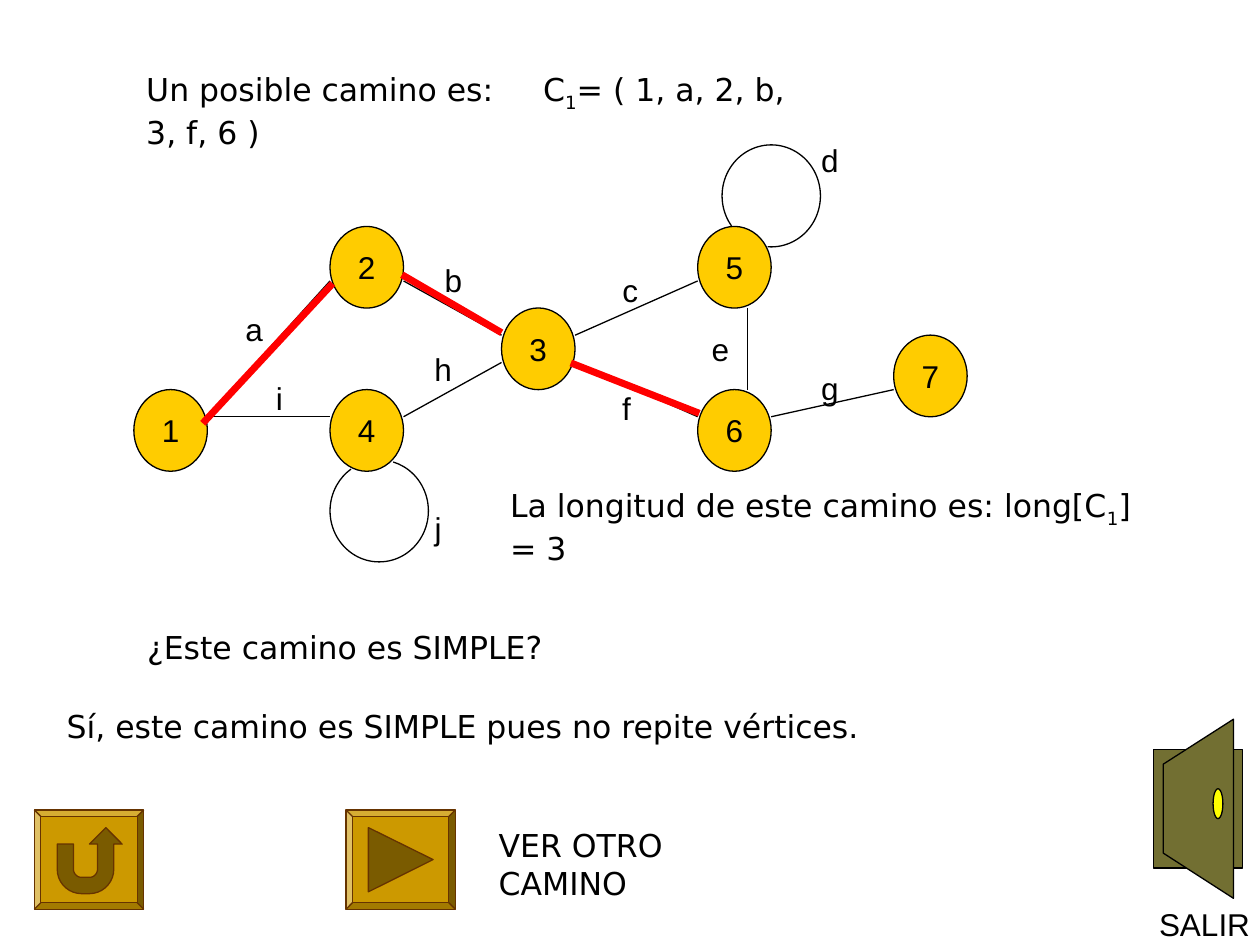
from dataclasses import dataclass
from math import cos, radians, sin

from lxml.etree import SubElement
from pptx import Presentation
from pptx.dml.color import RGBColor
from pptx.enum.shapes import MSO_CONNECTOR, MSO_SHAPE
from pptx.enum.text import MSO_ANCHOR, PP_ALIGN
from pptx.oxml.ns import qn
from pptx.util import Pt


@dataclass(frozen=True)
class Theme:
    ink: RGBColor = RGBColor.from_string("000000")
    node: RGBColor = RGBColor.from_string("FFCC00")
    route: RGBColor = RGBColor.from_string("FF0000")
    door: RGBColor = RGBColor.from_string("726F32")
    knob: RGBColor = RGBColor.from_string("FFFF00")
    button: RGBColor = RGBColor.from_string("CC9900")
    icon: RGBColor = RGBColor.from_string("7A5B00")
    border: RGBColor = RGBColor.from_string("663300")
    label_font: str = "Arial"
    body_font: str = "DejaVu Sans"
    size: int = 18
    thin: float = 0.75
    thick: float = 4


theme = Theme()


def paint(shape, fill, line):
    shape.shadow.inherit = False
    if fill is None:
        shape.fill.background()
    else:
        shape.fill.solid()
        shape.fill.fore_color.rgb = fill
    shape.line.color.rgb = line
    shape.line.width = Pt(theme.thin)


def write(shape, parts, font, align=PP_ALIGN.LEFT, anchor=MSO_ANCHOR.MIDDLE, wrap=True, tab=None):
    frame = shape.text_frame
    frame.word_wrap = wrap
    frame.vertical_anchor = anchor
    para = frame.paragraphs[0]
    para.alignment = align
    if tab:
        stops = SubElement(para._p.get_or_add_pPr(), qn("a:tabLst"))
        SubElement(stops, qn("a:tab"), pos=str(Pt(tab)), algn="l")
    para.font.name = font
    para.font.size = Pt(theme.size)
    para.font.color.rgb = theme.ink
    for index, part in enumerate(parts):
        span = para.add_run()
        span.text = part
        if index % 2:
            span._r.get_or_add_rPr().set("baseline", "-25000")


deck = Presentation()
deck.slide_width, deck.slide_height = Pt(720), Pt(540)
page = deck.slides.add_slide(deck.slide_layouts[6])
shapes = page.shapes

node_width, node_height = 42, 46.7
nodes = {
    "1": (76.5, 222.6),
    "2": (188.6, 129.4),
    "3": (286.6, 176),
    "4": (188.6, 222.6),
    "5": (398.7, 129.4),
    "6": (398.7, 222.6),
    "7": (510.7, 191.5),
}
for name, (left, top) in nodes.items():
    node = shapes.add_shape(MSO_SHAPE.OVAL, Pt(left), Pt(top), Pt(node_width), Pt(node_height))
    paint(node, theme.node, theme.ink)
    write(node, [name], theme.label_font, PP_ALIGN.CENTER)

edges = [
    ("1", "2", 1, 2),
    ("1", "4", 1, 1),
    ("2", "3", 2, 1),
    ("4", "3", 1, 2),
    ("3", "6", 2, 1),
    ("3", "5", 1, 2),
    ("6", "7", 1, 2),
]
third = node_height / 3
lines = [(427, 176, 427, 222.6, theme.ink, theme.thin)]
for start, end, start_thirds, end_thirds in edges:
    (x1, y1), (x2, y2) = nodes[start], nodes[end]
    lines.append((x1 + node_width, y1 + start_thirds * third,
                  x2, y2 + end_thirds * third, theme.ink, theme.thin))
route = [(115.9, 241.9, 190.1, 162), (229.7, 157, 286.6, 190.1), (326.2, 207.4, 399.6, 236.2)]
lines += [(*ends, theme.route, theme.thick) for ends in route]
for x1, y1, x2, y2, color, width in lines:
    edge = shapes.add_connector(MSO_CONNECTOR.STRAIGHT, Pt(x1), Pt(y1), Pt(x2), Pt(y2))
    edge.line.color.rgb = color
    edge.line.width = Pt(width)
    SubElement(edge._element.spPr, qn("a:effectLst"))

for left, top, start, end in [(188.6, 262.8, 286, 236), (412.6, 82.8, 143, 94)]:
    loop = shapes.add_shape(MSO_SHAPE.ARC, Pt(left), Pt(top), Pt(56.2), Pt(58.3))
    loop.adjustments[0] = start * 0.6
    loop.adjustments[1] = end * 0.6
    paint(loop, None, theme.ink)

door_frame = shapes.add_shape(MSO_SHAPE.RECTANGLE, Pt(659), Pt(428.4), Pt(51.1), Pt(67.7))
paint(door_frame, theme.door, theme.ink)

button_tops = 462.8
for left in (19.6, 197.7):
    button = shapes.add_shape(MSO_SHAPE.BEVEL, Pt(left), Pt(button_tops), Pt(62.6), Pt(56.8))
    button.adjustments[0] = 0.066
    paint(button, theme.button, theme.border)

left_bend = [(46.6, angle) for angle in range(180, 89, -10)]
right_bend = [(51.1, angle) for angle in range(90, -1, -10)]
inner, outer = [
    [(x + radius * cos(radians(angle)), 496.8 + radius * sin(radians(angle)))
     for x, angle in left_bend + right_bend]
    for radius in (4.6, 13.9)
]
return_arrow = [(32.7, 482.4), (42, 482.4), *inner, (55.7, 482.4), (51.1, 482.4),
                (60.5, 473), (69.8, 482.4), (65, 482.4), *outer[::-1]]
next_arrow = [(210.5, 472.9), (247.5, 491.2), (210.5, 509.6)]
door_leaf = [(704.8, 411), (704.8, 513.3), (664.7, 487.5), (664.7, 436.7)]
outlines = [
    (return_arrow, theme.icon, theme.border),
    (next_arrow, theme.icon, theme.border),
    (door_leaf, theme.door, theme.ink),
]
for points, fill, line in outlines:
    corners = [(Pt(x), Pt(y)) for x, y in points]
    builder = shapes.build_freeform(*corners[0])
    builder.add_line_segments(corners[1:], close=True)
    paint(builder.convert_to_shape(), fill, line)

knob = shapes.add_shape(MSO_SHAPE.OVAL, Pt(693.2), Pt(450.7), Pt(5.6), Pt(17.1))
paint(knob, theme.knob, theme.ink)

labels = [
    ("a", 133.2, 173.5, 24.5),
    ("i", 150.5, 213.1, 18),
    ("b", 247, 145.4, 24.5),
    ("f", 348.5, 218.9, 19.4),
    ("c", 348.5, 151.2, 23),
    ("j", 241.2, 287.3, 18),
    ("d", 462.2, 77, 24.5),
    ("e", 399.6, 185, 24.5),
    ("g", 462.2, 207.4, 24.5),
    ("h", 241.2, 196.6, 24.5),
    ("SALIR", 655.2, 513.4, 66.2),
]
for name, left, top, width in labels:
    box = shapes.add_textbox(Pt(left), Pt(top), Pt(width), Pt(28.8))
    write(box, [name], theme.label_font, anchor=MSO_ANCHOR.TOP, wrap=False)

sentences = [
    (["Un posible camino es:\tC", "1", "= ( 1, a, 2, b, 3, f, 6 )"], 76.5, 47.5, 401, 31.7, 226.8),
    (["La longitud de este camino es: long[C", "1", "] = 3"], 284.4, 285.1, 372.2, 31.7, None),
    (["VER OTRO CAMINO"], 277.9, 479.5, 177.8, 28.8, None),
    (["¿Este camino es SIMPLE?"], 77, 355, 601.2, 28.8, None),
    (["Sí, este camino es SIMPLE pues no repite vértices."], 31, 400.3, 601.2, 28.8, None),
]
for parts, left, top, width, height, tab in sentences:
    box = shapes.add_textbox(Pt(left), Pt(top), Pt(width), Pt(height))
    write(box, parts, theme.body_font, tab=tab)

deck.save("out.pptx")
